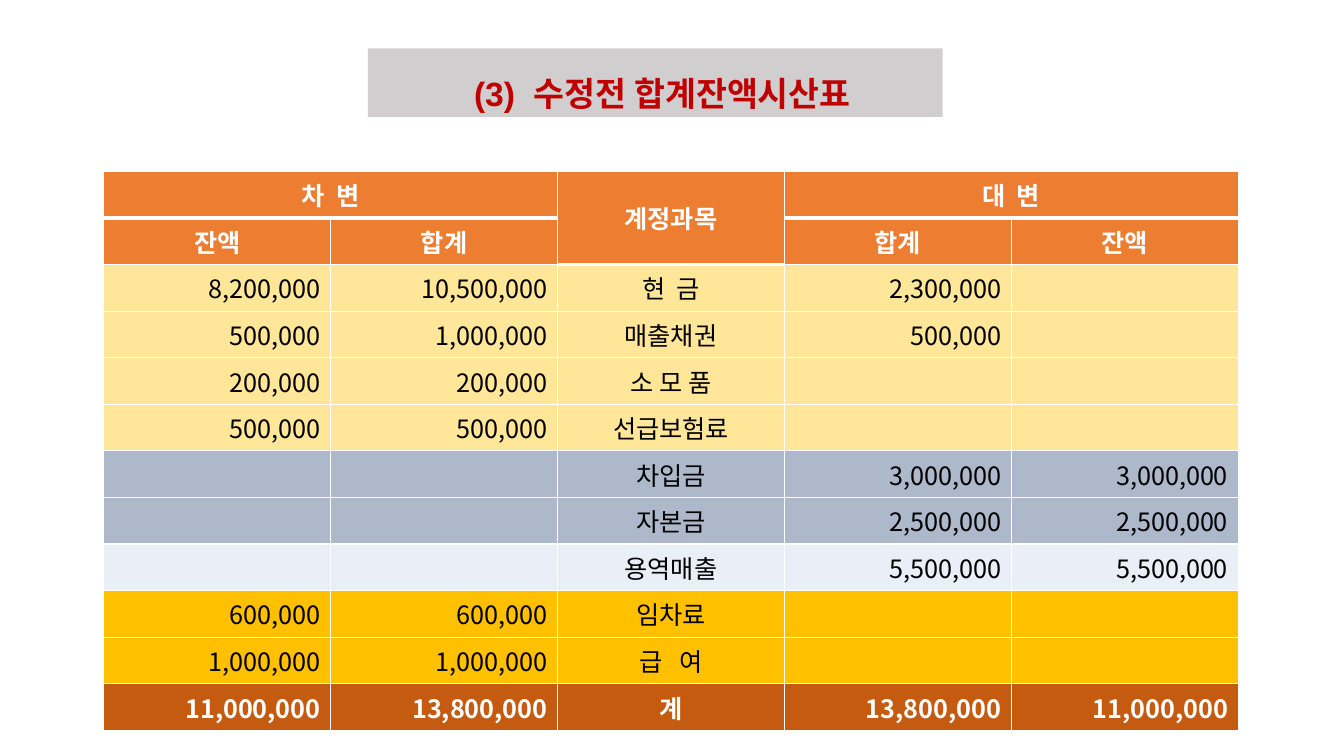
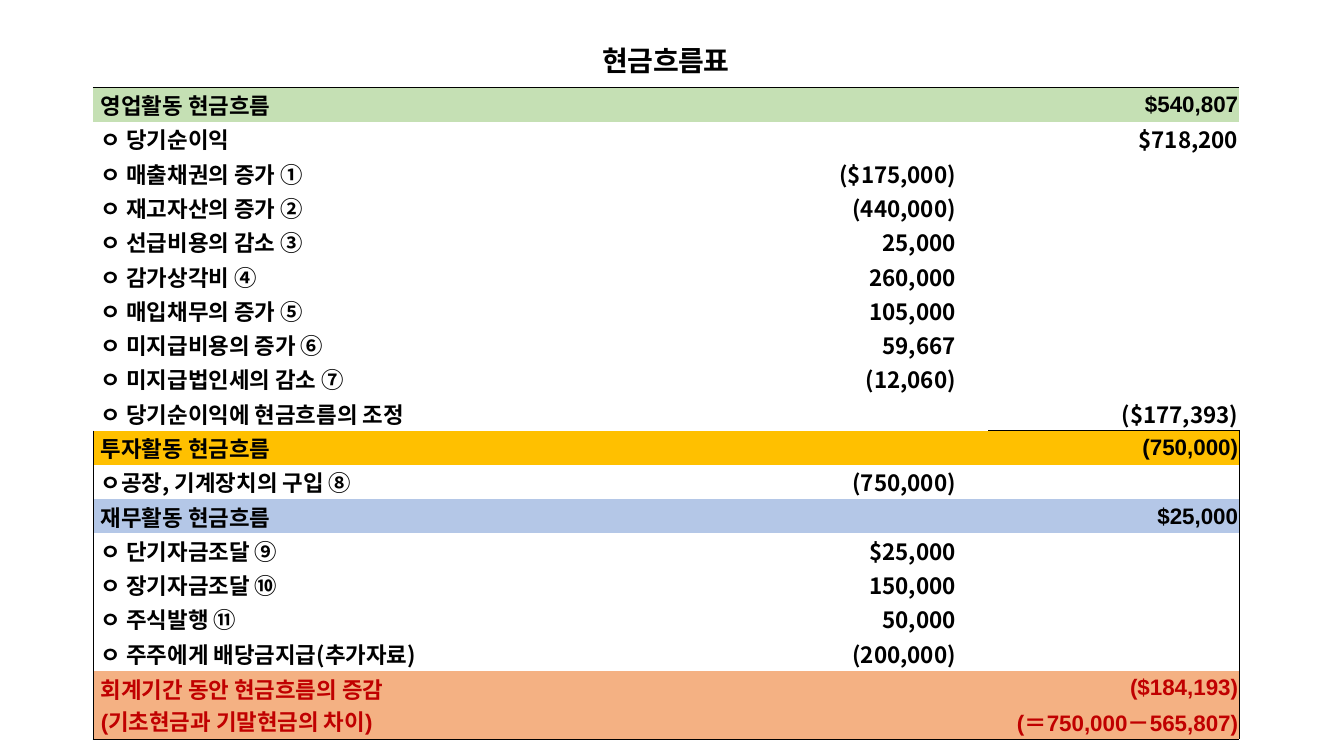
from dataclasses import dataclass

from lxml import etree
from pptx import Presentation
from pptx import util as u
from pptx.dml.color import RGBColor
from pptx.enum import shapes, text
from pptx.oxml.ns import qn


@dataclass(frozen=True)
class Theme:
    latin: str = "Arial"
    korean: str = "Noto Sans CJK KR"
    title: int = 24
    subtitle: int = 20
    ledger: int = 18
    flow: int = 16
    black: str = "000000"
    white: str = "FFFFFF"
    red: str = "C00000"
    gray: str = "D0CECE"
    header: str = "ED7D31"
    asset: str = "FFE699"
    equity: str = "ADB9CA"
    revenue: str = "EAEFF7"
    gold: str = "FFC000"
    total: str = "C55A11"
    operating: str = "C5E0B4"
    financing: str = "B4C7E7"
    change: str = "F4B183"
    plain_table: str = "{2D5ABB26-0587-4C30-8999-92F81FD0307C}"


T = Theme()
ALIGN = text.PP_ALIGN


def write(paragraph, size, color, align, face, bold=True, spacing=0):
    paragraph.alignment = align
    font = paragraph.font
    font.size, font.bold, font.name = u.Pt(size), bold, face
    font.color.rgb = RGBColor.from_string(color)
    defaults = paragraph._p.pPr.find(qn("a:defRPr"))
    etree.SubElement(defaults, qn("a:ea")).set("typeface", T.korean)
    for run in paragraph.runs:
        if spacing:
            run._r.get_or_add_rPr().set("spc", str(spacing))


def dress(cell, fill, edges, color):
    props = cell._tc.get_or_add_tcPr()
    for side in "LRTB":
        width = edges.get(side, 0)
        line = etree.SubElement(props, qn(f"a:ln{side}"), w=str(u.Pt(width)))
        if width:
            paint = etree.SubElement(line, qn("a:solidFill"))
            etree.SubElement(paint, qn("a:srgbClr"), val=color)
        else:
            etree.SubElement(line, qn("a:noFill"))
    if fill:
        cell.fill.solid()
        cell.fill.fore_color.rgb = RGBColor.from_string(fill)
    else:
        cell.fill.background()


deck = Presentation()
deck.slide_width, deck.slide_height = u.Inches(13.33), u.Inches(7.5)
blank = deck.slide_layouts[6]

trial_balance = deck.slides.add_slide(blank)
banner = trial_balance.shapes.add_shape(
    shapes.MSO_SHAPE.RECTANGLE, u.Inches(3.65), u.Inches(0.48), u.Inches(5.7), u.Inches(0.68))
banner.shadow.inherit = False
banner.fill.solid()
banner.fill.fore_color.rgb = RGBColor.from_string(T.gray)
banner.line.fill.background()
banner.text_frame.vertical_anchor = text.MSO_ANCHOR.MIDDLE
heading = banner.text_frame.paragraphs[0]
for part in ("(3)", " ", "수정전 합계잔액시산표"):
    heading.add_run().text = part
heading.runs[1]._r.get_or_add_rPr().set("spc", "670")
heading.line_spacing = 1.5
write(heading, T.title, T.red, ALIGN.CENTER, T.latin)
heading._p.pPr.set("indent", str(u.Inches(0.14)))

accounts = [
    (T.header, "차 변", "", "계정과목", "대 변", ""),
    (T.header, "잔액", "합계", "", "합계", "잔액"),
    (T.asset, "8,200,000", "10,500,000", "현 금", "2,300,000", ""),
    (T.asset, "500,000", "1,000,000", "매출채권", "500,000", ""),
    (T.asset, "200,000", "200,000", "소 모 품", "", ""),
    (T.asset, "500,000", "500,000", "선급보험료", "", ""),
    (T.equity, "", "", "차입금", "3,000,000", "3,000,000"),
    (T.equity, "", "", "자본금", "2,500,000", "2,500,000"),
    (T.revenue, "", "", "용역매출", "5,500,000", "5,500,000"),
    (T.gold, "600,000", "600,000", "임차료", "", ""),
    (T.gold, "1,000,000", "1,000,000", "급 여", "", ""),
    (T.total, "11,000,000", "13,800,000", "계", "13,800,000", "11,000,000"),
]
letter_gaps = {"차 변": 200, "대 변": 200, "현 금": 200, "급 여": 400}
account_column = 2
row_height, column_width = 0.46, 2.25
ledger = trial_balance.shapes.add_table(
    len(accounts), 5, u.Inches(1.03), u.Inches(1.7),
    u.Inches(5 * column_width), u.Inches(len(accounts) * row_height)).table
ledger.first_row = ledger.horz_banding = False
ledger._tbl.tblPr.find(qn("a:tableStyleId")).text = T.plain_table
for first, last in (((0, 0), (0, 1)), ((0, 2), (1, 2)), ((0, 3), (0, 4))):
    ledger.cell(*first).merge(ledger.cell(*last))
for r, (fill, *entries) in enumerate(accounts):
    strong = fill in (T.header, T.total)
    for c, entry in enumerate(entries):
        cell = ledger.cell(r, c)
        header_end = 1 if c == account_column else 0
        edges = {"L": 1, "R": 1,
                 "T": 3 if r == header_end + 1 else 1,
                 "B": 3 if r <= header_end else 1}
        dress(cell, fill, edges, T.white)
        if entry:
            cell.text = entry
            centered = fill == T.header or c == account_column
            write(cell.text_frame.paragraphs[0], T.ledger, T.white if strong else T.black,
                  ALIGN.CENTER if centered else ALIGN.RIGHT, T.korean, strong,
                  letter_gaps.get(entry, 0))
        if entry == "계정과목":
            cell.vertical_anchor = text.MSO_ANCHOR.MIDDLE

cash_flow = deck.slides.add_slide(blank)
flows = [
    (None, "현금흐름표", "", ""),
    (T.operating, "영업활동 현금흐름", "", "$540,807"),
    (None, "ㅇ 당기순이익", "", "$718,200"),
    (None, "ㅇ 매출채권의 증가 ①", "($175,000)", ""),
    (None, "ㅇ 재고자산의 증가 ②", "(440,000)", ""),
    (None, "ㅇ 선급비용의 감소 ③", "25,000", ""),
    (None, "ㅇ 감가상각비 ④", "260,000", ""),
    (None, "ㅇ 매입채무의 증가 ⑤", "105,000", ""),
    (None, "ㅇ 미지급비용의 증가 ⑥", "59,667", ""),
    (None, "ㅇ 미지급법인세의 감소 ⑦", "(12,060)", ""),
    (None, "ㅇ 당기순이익에 현금흐름의 조정", "", "($177,393)"),
    (T.gold, "투자활동 현금흐름", "", "(750,000)"),
    (None, "ㅇ공장, 기계장치의 구입 ⑧", "(750,000)", ""),
    (T.financing, "재무활동 현금흐름", "", "$25,000"),
    (None, "ㅇ 단기자금조달 ⑨", "$25,000", ""),
    (None, "ㅇ 장기자금조달 ⑩", "150,000", ""),
    (None, "ㅇ 주식발행 ⑪", "50,000", ""),
    (None, "ㅇ 주주에게 배당금지급(추가자료)", "(200,000)", ""),
    (T.change, "회계기간 동안 현금흐름의 증감\n(기초현금과 기말현금의 차이)", "", "($184,193)"),
    (T.change, "", "(＝750,000－565,807)", ""),
]
widths = (6.3, 2.27, 0.31, 2.49)
heights = [0.49] + [0.34] * (len(flows) - 1)
statement = cash_flow.shapes.add_table(
    len(flows), len(widths), u.Inches(0.92), u.Inches(0.38),
    u.Inches(sum(widths)), u.Inches(sum(heights))).table
statement.first_row = statement.horz_banding = False
statement._tbl.tblPr.find(qn("a:tableStyleId")).text = T.plain_table
for c, width in enumerate(widths):
    statement.columns[c].width = u.Inches(width)
for r, height in enumerate(heights):
    statement.rows[r].height = u.Inches(height)
last_row, last_column, hairline = len(flows) - 1, len(widths) - 1, 0.28
boxed_from = 11
for first, last in (((0, 0), (0, 3)), ((18, 0), (19, 0)), ((19, 1), (19, 3))):
    statement.cell(*first).merge(statement.cell(*last))
for r, (fill, item, detail, amount) in enumerate(flows):
    for c, entry in enumerate((item, detail, "", amount)):
        cell = statement.cell(r, c)
        ruled = {
            "L": r >= boxed_from and c == 0,
            "R": r >= boxed_from and (c == last_column or (r == last_row and c > 0)),
            "T": (r, c) in ((1, 0), (boxed_from, last_column)),
            "B": r == last_row or (r, c) in ((0, 0), (18, 0), (boxed_from - 1, last_column)),
        }
        dress(cell, fill, {side: hairline for side in ruled if ruled[side]}, T.black)
        cell.margin_left = cell.margin_right = u.Inches(0.01)
        cell.margin_top = cell.margin_bottom = u.Inches(0.01)
        if not entry:
            continue
        cell.text = entry
        is_title = r == 0
        cell.vertical_anchor = text.MSO_ANCHOR.TOP if is_title else text.MSO_ANCHOR.MIDDLE
        align = ALIGN.CENTER if is_title else ALIGN.RIGHT if c else ALIGN.JUSTIFY
        for paragraph in cell.text_frame.paragraphs:
            write(paragraph, T.subtitle if is_title else T.flow,
                  T.red if fill == T.change else T.black, align,
                  T.latin if fill or is_title else T.korean,
                  spacing=-30 if is_title else 0)
            if align == ALIGN.JUSTIFY:
                paragraph._p.pPr.set("marL", str(u.Inches(0.07)))

deck.save("out.pptx")
